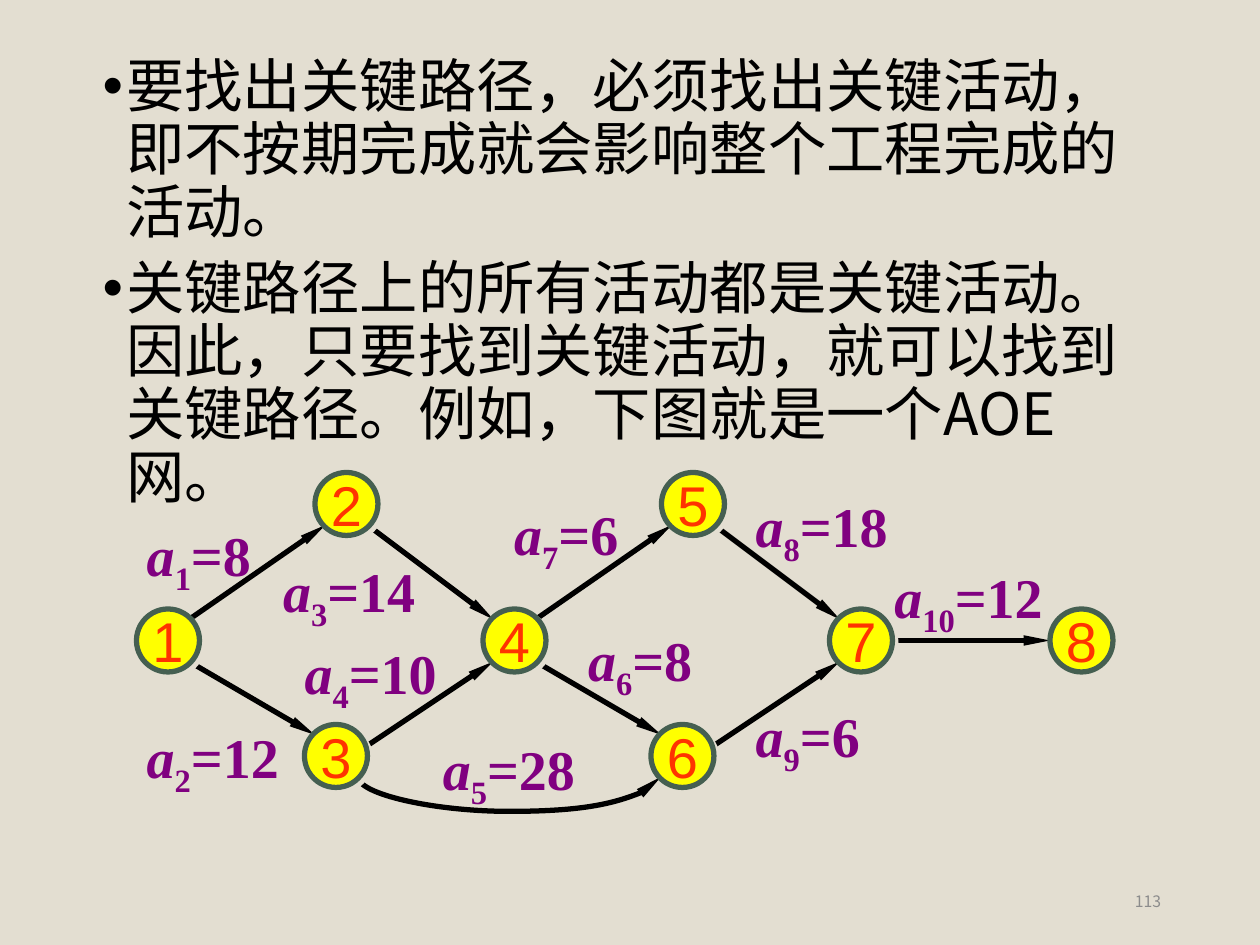
"""Build a slide on critical activities with an AOE network diagram."""
from pptx import Presentation
from pptx import util as u
from pptx.dml.color import RGBColor
from pptx.enum import shapes, text
from pptx.oxml import ns, xmlchemy as xc

BACKGROUND = RGBColor(0xE3, 0xDE, 0xD1)
BLACK = RGBColor(0x00, 0x00, 0x00)
YELLOW = RGBColor(0xFF, 0xFF, 0x00)
GREEN = RGBColor(0x45, 0x5F, 0x51)
RED = RGBColor(0xFF, 0x33, 0x00)
PURPLE = RGBColor(0x80, 0x00, 0x80)
GRAY = RGBColor(0x8C, 0x8C, 0x8C)
CJK = "Noto Sans CJK SC"
Pt = u.Pt


def sub(parent, tag, **attrs):
    e = xc.OxmlElement(tag)
    for name, value in attrs.items():
        e.set(name, value)
    parent.append(e)
    return e


def write(p, content, size=32, font=CJK, color=BLACK, bold=False, italic=False, baseline=None):
    r = p.add_run()
    r.text = content
    r.font.size, r.font.name = Pt(size), font
    r.font.bold, r.font.italic = bold, italic
    r.font.color.rgb = color
    rPr = r.font._element
    sub(rPr, "a:ea", typeface=font)
    if baseline:
        rPr.set("baseline", str(baseline * 1000))


class Network:
    line_width = 3
    node_size = 36
    label_height = 45
    label_widths = {3: 75.5, 4: 91, 5: 101.5}

    def __init__(self, s):
        self.s = s
        s.background.fill.solid()
        s.background.fill.fore_color.rgb = BACKGROUND

    def body(self, paragraphs, x, y, w, h):
        sp = self.s.placeholders[1]
        sp.left, sp.top, sp.width, sp.height = Pt(x), Pt(y), Pt(w), Pt(h)
        tf = sp.text_frame
        tf.word_wrap = True
        tf.auto_size = text.MSO_AUTO_SIZE.NONE
        for i, content in enumerate(paragraphs):
            p = tf.add_paragraph() if i else tf.paragraphs[0]
            pPr = p._p.get_or_add_pPr()
            pPr.set("marL", str(Pt(13.5)))
            pPr.set("indent", str(-Pt(13.5)))
            pPr.set("hangingPunct", "0")
            sub(pPr, "a:buFont", typeface="Arial")
            sub(pPr, "a:buChar", char="•")
            p.line_spacing = 0.9
            p.space_before = Pt(7.5 if i else 0)
            write(p, content, size=33.3)

    def style_edge(self, c):
        c.line.color.rgb = BLACK
        c.line.width = Pt(self.line_width)
        sub(c.line._get_or_add_ln(), "a:tailEnd", type="triangle", w="sm", len="lg")
        sub(c._element.spPr, "a:effectLst")

    def edge(self, x1, y1, x2, y2):
        c = self.s.shapes.add_connector(
            shapes.MSO_CONNECTOR.STRAIGHT, Pt(x1), Pt(y1), Pt(x2), Pt(y2))
        self.style_edge(c)

    def arc(self, x, y, span, depth):
        thin = 0.125
        c = self.s.shapes.add_connector(
            shapes.MSO_CONNECTOR.CURVE, Pt(x), Pt(y - span / 2), Pt(x + thin), Pt(y + span / 2))
        xfrm = c._element.spPr.find(ns.qn("a:xfrm"))
        xfrm.set("rot", "16200000")
        xfrm.set("flipH", "1")
        guides = c._element.spPr.find(ns.qn("a:prstGeom")).get_or_add_avLst()
        sub(guides, "a:gd", name="adj1", fmla=f"val {int(depth / thin * 100000)}")
        self.style_edge(c)

    def node(self, name, x, y):
        sp = self.s.shapes.add_shape(
            shapes.MSO_SHAPE.OVAL, Pt(x), Pt(y), Pt(self.node_size), Pt(self.node_size))
        sp.fill.solid()
        sp.fill.fore_color.rgb = YELLOW
        sp.line.color.rgb = GREEN
        sp.line.width = Pt(self.line_width)
        sp.shadow.inherit = False
        effects = sp._element.spPr.find(ns.qn("a:effectLst"))
        shadow = sub(effects, "a:outerShdw", dist=str(Pt(2.8)), dir="2700000",
                     algn="ctr", rotWithShape="0")
        sub(shadow, "a:srgbClr", val=str(BACKGROUND))
        tf = sp.text_frame
        tf.word_wrap = False
        tf.vertical_anchor = text.MSO_ANCHOR.MIDDLE
        p = tf.paragraphs[0]
        p.alignment = text.PP_ALIGN.CENTER
        write(p, name, font="Arial", color=RED)

    def label(self, index, days, x, y):
        value = f"={days}"
        w = self.label_widths[len(index + value)]
        tf = self.s.shapes.add_textbox(Pt(x), Pt(y), Pt(w), Pt(self.label_height)).text_frame
        tf.word_wrap = False
        tf.auto_size = text.MSO_AUTO_SIZE.SHAPE_TO_FIT_TEXT
        p = tf.paragraphs[0]
        style = dict(font="Times New Roman", color=PURPLE, bold=True)
        write(p, "a", italic=True, **style)
        write(p, index, baseline=-25, **style)
        write(p, value, **style)

    def page_number(self, number, x, y, w, h):
        tf = self.s.shapes.add_textbox(Pt(x), Pt(y), Pt(w), Pt(h)).text_frame
        tf.word_wrap = True
        tf.vertical_anchor = text.MSO_ANCHOR.MIDDLE
        p = tf.paragraphs[0]
        p.alignment = text.PP_ALIGN.RIGHT
        write(p, number, size=9, color=GRAY)


def main():
    prs = Presentation()
    prs.slide_width, prs.slide_height = Pt(720), Pt(540)
    s = prs.slides.add_slide(prs.slide_layouts[1])
    title = s.shapes.title._element
    title.getparent().remove(title)
    net = Network(s)

    net.body([
        "要找出关键路径，必须找出关键活动，即不按期完成就会影响整个工程完成的活动。",
        "关键路径上的所有活动都是关键活动。因此，只要找到关键活动，就可以找到关键路径。"
        "例如，下图就是一个AOE网。",
    ], 51.5, 29, 620.5, 246)

    stage = 198
    for dx in (0, stage):
        net.edge(108 + dx, 354, 186 + dx, 300)
        net.edge(108 + dx, 378, 180 + dx, 420)
        net.edge(210 + dx, 300, 282 + dx, 354)
        net.edge(210 + dx, 426, 282 + dx, 378)
    net.edge(510, 366, 600, 366)
    net.arc(291, 444, 173, 21.75)

    for i in range(2):
        dx = i * stage
        for name, x, y in ((1, 78, 348), (2, 180, 270), (3, 174, 414)):
            net.node(str(name + 3 * i), x + dx, y)
    net.node("7", 78 + 2 * stage, 348)
    net.node("8", 600, 348)

    activities = [
        (8, 76.75, 294), (12, 76.75, 409.5), (14, 154.75, 314.5), (10, 167, 361.5),
        (28, 246, 416), (8, 329, 354), (6, 286.75, 282), (18, 424.75, 277.5),
        (6, 424.75, 397.5), (12, 504, 318),
    ]
    for i, (days, x, y) in enumerate(activities, 1):
        net.label(str(i), days, x, y)

    net.page_number("113", 508.5, 500.5, 162, 28.75)
    prs.save("out.pptx")


if __name__ == "__main__":
    main()
